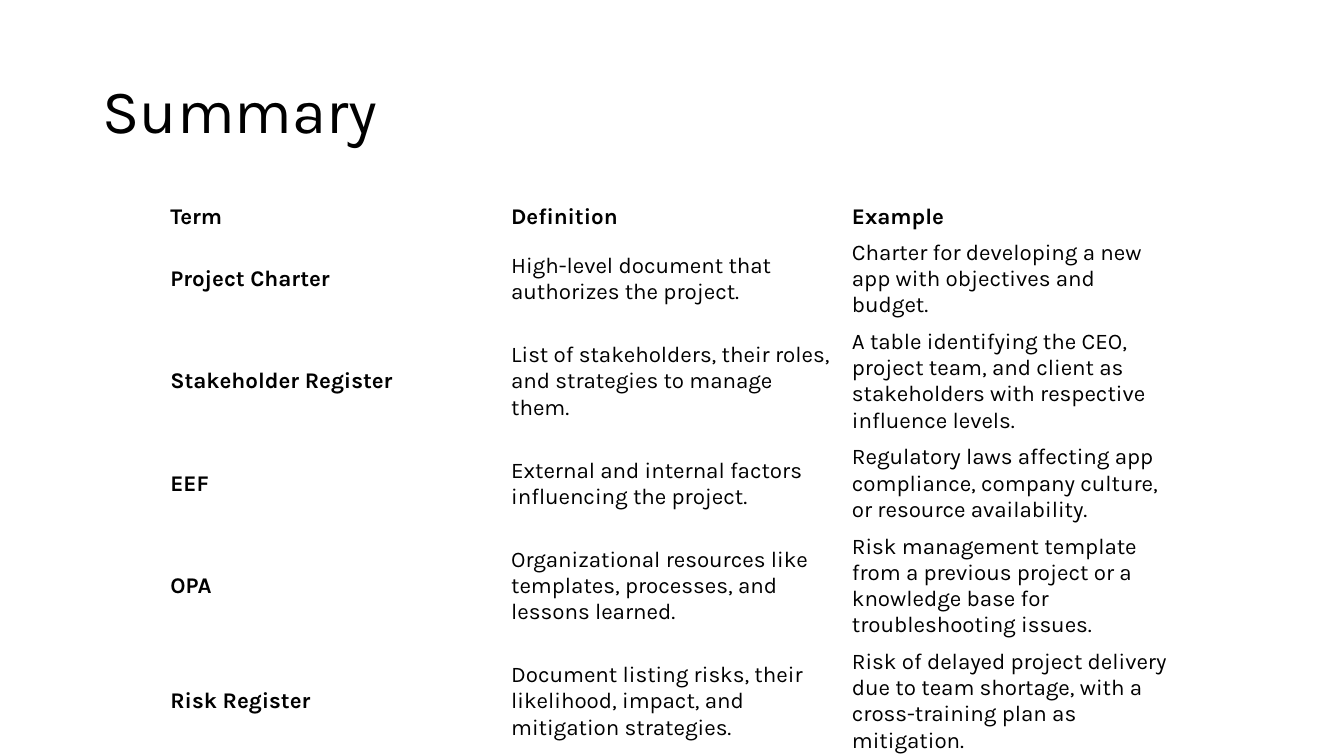
from pptx import Presentation
from pptx.dml.color import RGBColor
from pptx.enum.text import MSO_ANCHOR
from pptx.util import Inches, Pt

# Content
TITLE = "Summary"
ROWS = [
    ("Term", "Definition", "Example"),
    ("Project Charter",
     "High-level document that authorizes the project.",
     "Charter for developing a new app with objectives and budget."),
    ("Stakeholder Register",
     "List of stakeholders, their roles, and strategies to manage them.",
     "A table identifying the CEO, project team, and client as stakeholders "
     "with respective influence levels."),
    ("EEF",
     "External and internal factors influencing the project.",
     "Regulatory laws affecting app compliance, company culture, "
     "or resource availability."),
    ("OPA",
     "Organizational resources like templates, processes, and lessons learned.",
     "Risk management template from a previous project or a knowledge base "
     "for troubleshooting issues."),
    ("Risk Register",
     "Document listing risks, their likelihood, impact, and mitigation strategies.",
     "Risk of delayed project delivery due to team shortage, "
     "with a cross-training plan as mitigation."),
]
ROW_HEIGHTS = [0.35, 0.62, 1.15, 0.88, 0.88, 0.88]
COLUMN_WIDTH = 3.38

# Style
FONT = "Karla"
BLACK = RGBColor(0, 0, 0)
WHITE = RGBColor(255, 255, 255)
MIDDLE = MSO_ANCHOR.MIDDLE


def add_span(para, text, size, bold=False):
    span = para.add_run()
    span.text = text
    span.font.name = FONT
    span.font.size = Pt(size)
    span.font.bold = bold
    span.font.color.rgb = BLACK


deck = Presentation()
deck.slide_width, deck.slide_height = Inches(13.33), Inches(7.5)
page = deck.slides.add_slide(deck.slide_layouts[6])
page.background.fill.solid()
page.background.fill.fore_color.rgb = WHITE

# Title
title_box = page.shapes.add_textbox(Inches(0.92), Inches(0.4), Inches(11.5), Inches(1.45))
title_frame = title_box.text_frame
title_frame.word_wrap = True
title_frame.vertical_anchor = MIDDLE
title_frame.paragraphs[0].line_spacing = 0.9
add_span(title_frame.paragraphs[0], TITLE, 44)

# Table of terms
column_count = len(ROWS[0])
terms = page.shapes.add_table(
    len(ROWS), column_count, Inches(1.6), Inches(1.98),
    Inches(COLUMN_WIDTH * column_count), Inches(sum(ROW_HEIGHTS))).table
terms.first_row = False
terms.horz_banding = False
for column in terms.columns:
    column.width = Inches(COLUMN_WIDTH)

for row_index, (texts, height) in enumerate(zip(ROWS, ROW_HEIGHTS)):
    terms.rows[row_index].height = Inches(height)
    for column_index, text in enumerate(texts):
        cell = terms.cell(row_index, column_index)
        cell.fill.background()
        cell.vertical_anchor = MIDDLE
        cell.margin_left = cell.margin_right = Inches(0.09)
        cell.margin_top = cell.margin_bottom = Inches(0.04)
        is_heading = row_index == 0 or column_index == 0
        add_span(cell.text_frame.paragraphs[0], text, 16, is_heading)

deck.save("out.pptx")
